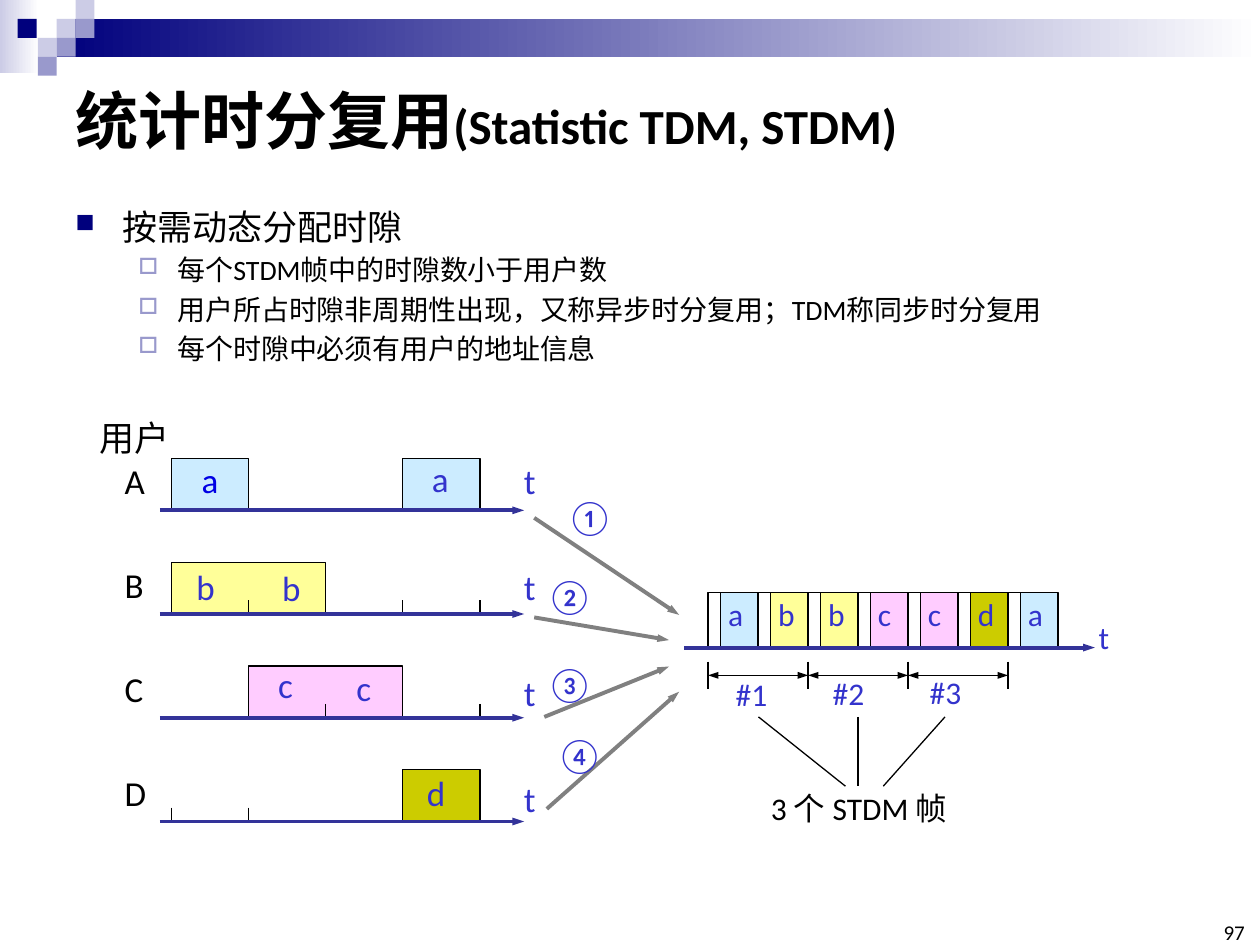
"""Builds the slide that explains statistical time-division multiplexing."""
import pptx
import pptx.dml.color
import pptx.enum.shapes
import pptx.enum.text
import pptx.oxml
import pptx.oxml.ns
import pptx.util

COLORS = {
    "black": "000000", "white": "FFFFFF", "navy": "00007D", "lilac": "CCCCE6",
    "violet": "9999CC", "label": "3333CC", "bright": "0000E4", "axis": "333399",
    "gray": "808080", "a": "CCECFF", "b": "FFFF99", "c": "FFCCFF", "d": "CCCC00",
}
FONT = "Calibri"
TITLE = [("统计时分复用", 36, "Noto Sans CJK SC"), ("(Statistic TDM, STDM)", 28, FONT)]
BULLETS = [
    ("按需动态分配时隙", 0),
    ("每个STDM帧中的时隙数小于用户数", 1),
    ("用户所占时隙非周期性出现，又称异步时分复用；TDM称同步时分复用", 1),
    ("每个时隙中必须有用户的地址信息", 1),
]
LEVELS = [
    {"size": 20, "left": 0.37, "hang": 0.37, "mark": "n", "color": "navy", "share": 75},
    {"size": 16, "left": 0.81, "hang": 0.31, "mark": "o", "color": "violet", "share": 80},
]
BANDS = [(0, 0, 0.31, 0.58, "lilac"), (0.45, 0.15, 9.55, 0.3, "navy")]
SQUARES = [(0.45, 0.15, "lilac"), (0.6, 0, "lilac"), (0.6, 0.15, "violet"),
           (0.3, 0.3, "lilac"), (0.14, 0.15, "navy"), (0.45, 0.3, "violet"),
           (0.3, 0.45, "violet")]
USERS = [
    {"name": "A", "data": "a", "blocks": [(3, 1)], "ticks": []},
    {"name": "B", "data": "b", "blocks": [(0, 2)], "ticks": [1, 3, 4]},
    {"name": "C", "data": "c", "blocks": [(1, 2)], "ticks": [2, 4]},
    {"name": "D", "data": "d", "blocks": [(3, 1)], "ticks": [0, 1, 3]},
]
SLOT_LABELS = [("a", 3.33, 3.58), ("b", 1.46, 4.44), ("b", 2.14, 4.45),
               ("c", 2.11, 5.22), ("c", 2.73, 5.24), ("d", 3.29, 6.07)]
FLOWS = [
    ("①", 4.4, 3.88, (4.24, 4.11, 5.39, 4.88)),
    ("②", 4.24, 4.51, (4.24, 4.9, 5.31, 5.08)),
    ("③", 4.24, 5.21, (4.32, 5.69, 5.31, 5.29)),
    ("④", 4.32, 5.77, (4.34, 6.42, 5.39, 5.49)),
]
STREAM = "abbccda"
STREAM_TICKS = [6.51, 6.81, 8]
FRAMES = [("#1", 5.74, 5.31), ("#2", 6.51, 5.3), ("#3", 7.28, 5.29)]
POINTERS = [(6.02, 6.71), (6.81, 6.81), (7.5, 7.01)]
GLYPH_WIDTHS = {"A": 0.17, "B": 0.16, "C": 0.15, "D": 0.18, "a": 0.14, "b": 0.15,
                "c": 0.12, "d": 0.15, "t": 0.1, "用户": 0.56}
USER_LEFT, USER_RIGHT, USER_TOP, USER_BOTTOM, USER_BLOCK = 1.36, 3.81, 4.05, 6.52, 0.41
USER_SLOT = (USER_RIGHT - USER_LEFT) / 4
USER_PITCH = (USER_BOTTOM - USER_TOP) / (len(USERS) - 1)
STREAM_LEFT, STREAM_RIGHT, STREAM_BASE, STREAM_BLOCK = 5.62, 8, 5.14, 0.44
STREAM_PITCH = (STREAM_RIGHT - STREAM_LEFT) / (2 * len(FRAMES))
ADDRESS = 0.1
TICK = 0.11

deck = pptx.Presentation()
deck.slide_width, deck.slide_height = pptx.util.Inches(10), pptx.util.Inches(7.5)
slide = deck.slides.add_slide(deck.slide_layouts[6])


def rgb(color):
    return pptx.dml.color.RGBColor.from_string(COLORS[color])


def inches(*lengths):
    return [pptx.util.Inches(length) for length in lengths]


def style(run, size, color="black", east=FONT, bold=False):
    run.font.size, run.font.name, run.font.bold = pptx.util.Pt(size), FONT, bold
    run.font.color.rgb = rgb(color)
    latin = run.font._element.find(pptx.oxml.ns.qn("a:latin"))
    latin.addnext(pptx.oxml.parse_xml(
        f'<a:ea {pptx.oxml.ns.nsdecls("a")} typeface="{east}"/>'))


def text_area(left, top, width, height, wrap=True):
    frame = slide.shapes.add_textbox(*inches(left, top, width, height)).text_frame
    frame.word_wrap = wrap
    return frame


def label(text, left, top, size=20, color="label"):
    default = 0.29 if text.startswith("#") else 0.28
    width = 0.2 + GLYPH_WIDTHS.get(text, default) * size / 20
    frame = text_area(left, top, width, 0.1 + size / 60, wrap=False)
    frame.text = text
    style(frame.paragraphs[0].runs[0], size, color)


def rectangle(left, top, width, height, color, fade=False):
    kind = pptx.enum.shapes.MSO_SHAPE.RECTANGLE
    shape = slide.shapes.add_shape(kind, *inches(left, top, width, height))
    shape.shadow.inherit = False
    shape.line.fill.background()
    if fade:
        shape.fill.gradient()
        shape.fill.gradient_angle = 0
        for stop, shade in zip(shape.fill.gradient_stops, (color, "white")):
            stop.color.rgb = rgb(shade)
    else:
        shape.fill.solid()
        shape.fill.fore_color.rgb = rgb(color)


def block(left, base, width, height, color=None):
    west, east, north, south = inches(left, left + width, base - height, base)
    builder = slide.shapes.build_freeform(west, south)
    builder.add_line_segments([(west, north), (east, north), (east, south)], close=False)
    shape = builder.convert_to_shape()
    shape.shadow.inherit = False
    shape.line.color.rgb, shape.line.width = rgb("black"), pptx.util.Pt(0.75)
    if color:
        shape.fill.solid()
        shape.fill.fore_color.rgb = rgb(color)
    else:
        shape.fill.background()
    return shape


def line(x1, y1, x2, y2, color="black", weight=0.75, heads=()):
    straight = pptx.enum.shapes.MSO_CONNECTOR.STRAIGHT
    connector = slide.shapes.add_connector(straight, *inches(x1, y1, x2, y2))
    connector.line.color.rgb = rgb(color)
    connector.line.width = pptx.util.Pt(weight)
    space = pptx.oxml.ns.nsdecls("a")
    for end in heads:
        connector.line._get_or_add_ln().append(pptx.oxml.parse_xml(
            f'<a:{end} {space} type="triangle" w="sm" len="med"/>'))
    connector._element.spPr.append(pptx.oxml.parse_xml(f"<a:effectLst {space}/>"))


def draw_heading():
    for band in BANDS:
        rectangle(*band, fade=True)
    for left, top, color in SQUARES:
        rectangle(left, top, 0.15, 0.15, color)
    frame = text_area(0.5, 0.5, 9, 0.89)
    frame.vertical_anchor = pptx.enum.text.MSO_ANCHOR.MIDDLE
    for text, size, east in TITLE:
        run = frame.paragraphs[0].add_run()
        run.text = text
        style(run, size, east=east, bold=True)
    number = text_area(9.65, 7.33, 0.23, 0.17)
    number.margin_left = number.margin_right = number.margin_top = number.margin_bottom = 0
    number.vertical_anchor = pptx.enum.text.MSO_ANCHOR.BOTTOM
    number.text = "97"
    number.paragraphs[0].alignment = pptx.enum.text.PP_ALIGN.RIGHT
    style(number.paragraphs[0].runs[0], 12)


def draw_bullets():
    frame = text_area(0.5, 1.58, 9.15, 1.5)
    frame.text = "\n".join(text for text, _ in BULLETS)
    space = pptx.oxml.ns.nsdecls("a")
    for index, (paragraph, (_, depth)) in enumerate(zip(frame.paragraphs, BULLETS)):
        level = LEVELS[depth]
        paragraph.level = depth
        props = paragraph._p.get_or_add_pPr()
        props.set("marL", str(pptx.util.Inches(level["left"])))
        props.set("indent", str(-pptx.util.Inches(level["hang"])))
        for part in (f'buClr {space}><a:srgbClr val="{COLORS[level["color"]]}"/></a:buClr>',
                     f'buSzPct {space} val="{level["share"] * 1000}"/>',
                     f'buFont {space} typeface="Wingdings" charset="2"/>',
                     f'buChar {space} char="{level["mark"]}"/>'):
            props.append(pptx.oxml.parse_xml("<a:" + part))
        if index:
            paragraph.space_before = pptx.util.Pt(level["size"] * 0.2)
        style(paragraph.runs[0], level["size"])


def draw_users():
    label("用户", 0.69, 3.26, color="black")
    frame = block(USER_LEFT, USER_TOP, USER_SLOT, USER_BLOCK, "a").text_frame
    frame.margin_top = frame.margin_bottom = 0
    frame.vertical_anchor = pptx.enum.text.MSO_ANCHOR.TOP
    frame.text = "a"
    frame.paragraphs[0].alignment = pptx.enum.text.PP_ALIGN.CENTER
    style(frame.paragraphs[0].runs[0], 20, "bright")
    for row, user in enumerate(USERS):
        base = USER_TOP + row * USER_PITCH
        for slot, span in user["blocks"]:
            block(USER_LEFT + slot * USER_SLOT, base, span * USER_SLOT, USER_BLOCK, user["data"])
        for slot in user["ticks"]:
            x = USER_LEFT + slot * USER_SLOT
            line(x, base - TICK, x, base)
        line(1.27, base, 4.16, base, "axis", 2.25, ["tailEnd"])
        label(user["name"], 0.89, base - 0.45, color="black")
        label("t", 4.06, 3.6 + row * 0.84)
    for slot_label in SLOT_LABELS:
        label(*slot_label)
    for mark, left, top, ends in FLOWS:
        line(*ends, "gray", 2.25, ["tailEnd"])
        label(mark, left, top)


def draw_stream():
    for index, data in enumerate(STREAM):
        left = STREAM_LEFT + index * STREAM_PITCH
        block(left, STREAM_BASE, ADDRESS, STREAM_BLOCK)
        block(left + ADDRESS, STREAM_BASE, STREAM_PITCH - ADDRESS, STREAM_BLOCK, data)
        label(data, left + 0.06, 4.67, 18)
    for x in STREAM_TICKS:
        line(x, STREAM_BASE - TICK, x, STREAM_BASE)
    line(5.43, STREAM_BASE, 8.69, STREAM_BASE, "axis", 2.25, ["tailEnd"])
    label("t", 8.62, 4.86, 18)
    bounds = [STREAM_LEFT + 2 * STREAM_PITCH * index for index in range(len(FRAMES) + 1)]
    for x in bounds:
        line(x, 5.25, x, 5.47)
    for start, end, frame, (top_x, foot_x) in zip(bounds, bounds[1:], FRAMES, POINTERS):
        line(start, 5.36, end, 5.36, heads=["headEnd", "tailEnd"])
        label(*frame, 18)
        line(top_x, 5.69, foot_x, 6.24)
    caption = text_area(6.02, 6.21, 1.62, 0.4)
    caption.text = "3 个 STDM 帧"
    style(caption.paragraphs[0].runs[0], 18)


draw_heading()
draw_bullets()
draw_users()
draw_stream()
deck.save("out.pptx")
